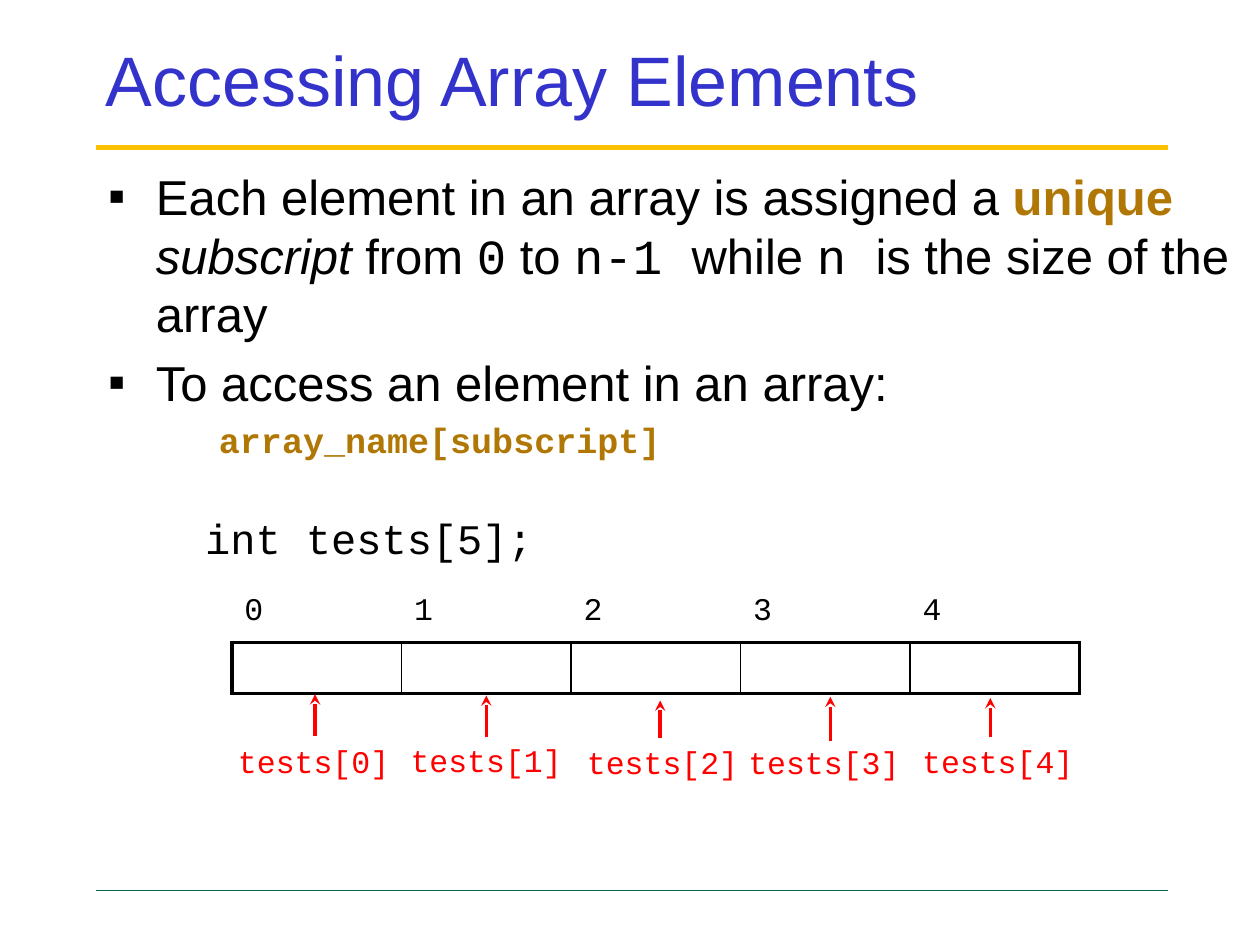
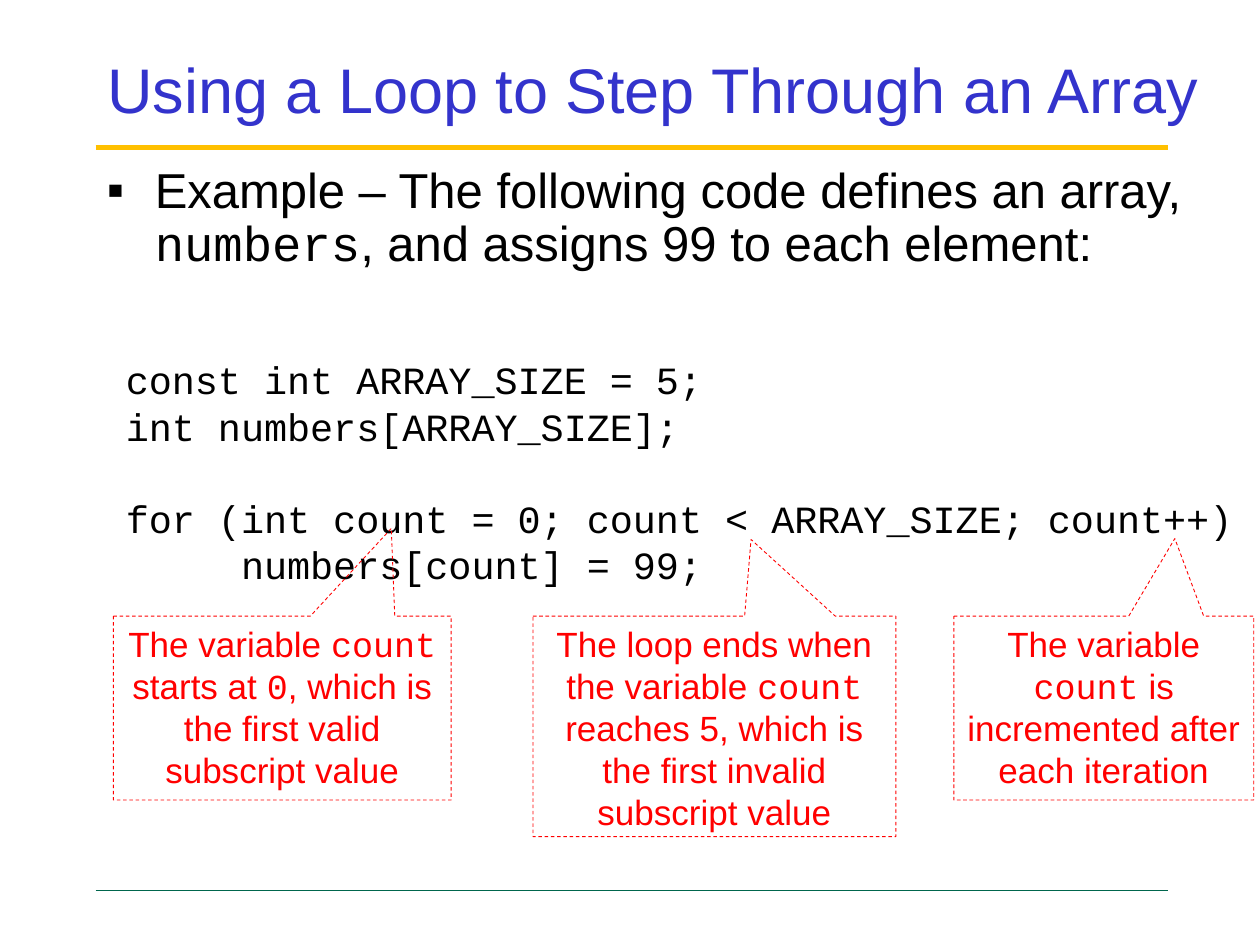
"""Builds two slides on reaching and filling the elements of an array."""
from lxml import etree
from pptx import Presentation, util as u
from pptx.dml.color import RGBColor
from pptx.enum import dml, shapes, text
from pptx.oxml.ns import qn

HUE = dict(title="3333CC", rule="FFC000", foot="00664D", ink="000000",
           gold="B07704", mark="FF0000")
BODY, CODE = "Arial", "Courier New"
WIDE, HIGH = 10, 7.5
LEFT, RIGHT = 0.76, 9.27
RULES = [(1.17, "rule", 3), (7.07, "foot", 0.75)]

FORM = {
    "": {},
    "code": dict(name=CODE),
    "key": dict(bold=True, hue="gold"),
    "ital": dict(italic=True),
    "form": dict(name=CODE, size=20, bold=True, hue="gold"),
}

ACCESS = dict(
    title=("Accessing Array Elements", 40, (0.74, 0.1, 8.25, 1.04)),
    at=(0.76, 1.27, 9.26, 5),
    items=[
        [("Each element in an array is assigned a ", ""), ("unique ", "key"),
         ("subscript ", "ital"), ("from ", ""), ("0", "code"), (" to ", ""),
         ("n-1 ", "code"), ("while ", ""), ("n ", "code"),
         ("is the size of the array", "")],
        [("To access an element in an array:", "")],
        [("array_name[subscript]", "form")],
    ],
    shape=[dict(dot=True), dict(dot=True, before=5.6), dict(left=0.88, before=4)],
)
LOOP = dict(
    title=("Using a Loop to Step Through an Array", 36, (0.75, 0.33, 8.92, 0.75)),
    at=(0.75, 1.27, 9.08, 1.59),
    items=[[("Example – The following code defines an array, ", ""),
            ("numbers", "code"), (", and assigns 99 to each element:", "")]],
    shape=[dict(dot=True, lead=0.9)],
)

COUNT = 5
GRID = dict(left=1.84, wide=6.73, row=0.4, index=4.67, cells=5.1)
DECLARE = "int tests[5];"
TAGS = [(1.79, 5.84), (3.16, 5.83), (4.56, 5.85), (5.84, 5.85), (7.22, 5.84)]
ARROWS = [(2.5, 5.84, 5.51), (3.86, 5.85, 5.52), (5.24, 5.86, 5.56),
          (6.59, 5.88, 5.53), (7.86, 5.85, 5.54)]

SOURCE = [
    "const int ARRAY_SIZE = 5;",
    "int numbers[ARRAY_SIZE];",
    "for (int count = 0; count < ARRAY_SIZE; count++)",
    "     numbers[count] = 99;",
]
GAPS = [{}, {}, dict(before=26.4), {}]
NOTE_TOP = 4.89
NOTES = [
    (0.9, 2.68, 1.46, (0.323, -0.977),
     [("The variable ", ""), ("count", "code"), (" starts at ", ""), ("0", "code"),
      (", which is the first valid subscript value", "")]),
    (4.23, 2.88, 1.75, (0.101, -0.848),
     [("The loop ends when the variable ", ""), ("count", "code"),
      (" reaches 5, which is the first invalid subscript value", "")]),
    (7.57, 2.38, 1.46, (0.237, -0.922),
     [("The variable ", ""), ("count", "code"),
      (" is incremented after each iteration", "")]),
]


def rgb(hue):
    return RGBColor.from_string(HUE[hue])


def inch(*sizes):
    return [u.Inches(size) for size in sizes]


def child(node, tag, **attrs):
    return etree.SubElement(node, qn(tag), attrs)


def dress(font, form):
    for key, value in form.items():
        if key == "hue":
            font.color.rgb = rgb(value)
        else:
            setattr(font, key, u.Pt(value) if key == "size" else value)


def indent(para, dot=False, left=0.0, before=0, lead=None):
    props = para._p.get_or_add_pPr()
    if dot:
        left = 0.38
        color = child(props, "a:buClr")
        child(color, "a:srgbClr", val=HUE["ink"])
        child(props, "a:buFont", typeface=BODY)
        child(props, "a:buChar", char="▪")
    if left:
        props.set("marL", str(u.Inches(left)))
        props.set("indent", str(-u.Inches(left) if dot else 0))
    if before:
        para.space_before = u.Pt(before)
    if lead:
        para.line_spacing = lead


def write(frame, paras, base, shape=None, align=None, wrap=True,
          anchor=text.MSO_ANCHOR.TOP):
    frame.word_wrap = wrap
    frame.auto_size = text.MSO_AUTO_SIZE.NONE
    frame.vertical_anchor = anchor
    for i, runs in enumerate(paras):
        para = frame.paragraphs[0] if i == 0 else frame.add_paragraph()
        para.alignment = align or text.PP_ALIGN.LEFT
        indent(para, **(shape[i] if shape else {}))
        for words, form in runs:
            run = para.add_run()
            run.text = words
            dress(run.font, {**base, **FORM[form]})


def look(name, size, hue="ink"):
    return dict(name=name, size=size, hue=hue)


def box(slide, at, paras, base, **more):
    write(slide.shapes.add_textbox(*inch(*at)).text_frame, paras, base, **more)


def line(slide, start, end, hue, width, tip=None):
    link = slide.shapes.add_connector(shapes.MSO_CONNECTOR.STRAIGHT,
                                      *inch(*start, *end))
    link.line.color.rgb = rgb(hue)
    link.line.width = u.Pt(width)
    if tip:
        child(link.line._get_or_add_ln(), "a:tailEnd", type=tip)
    child(link._element.spPr, "a:effectLst")


def page(deck, data):
    slide = deck.slides.add_slide(deck.slide_layouts[5])
    for y, hue, width in RULES:
        line(slide, (LEFT, y), (RIGHT, y), hue, width)
    words, size, at = data["title"]
    head = slide.shapes.title
    head.left, head.top, head.width, head.height = inch(*at)
    write(head.text_frame, [[(words, "")]], look(BODY, size, "title"),
          anchor=text.MSO_ANCHOR.MIDDLE)
    box(slide, data["at"], data["items"], look(BODY, 28), shape=data["shape"])
    return slide


def edge(cell, widths):
    props = cell._tc.get_or_add_tcPr()
    for i, (side, width) in enumerate(widths.items()):
        rim = etree.Element(qn("a:ln" + side), w=str(u.Pt(width)))
        fill = child(rim, "a:solidFill")
        child(fill, "a:srgbClr", val=HUE["ink"])
        props.insert(i, rim)


def strip(slide, top, words=None):
    frame = slide.shapes.add_table(
        1, COUNT, *inch(GRID["left"], top, GRID["wide"], GRID["row"]))
    table = frame.table
    table.first_row = table.horz_banding = False
    for i, cell in enumerate(table.rows[0].cells):
        cell.fill.background()
        if words:
            write(cell.text_frame, [[(words[i], "")]], look(CODE, 18))
        else:
            edge(cell, dict(L=1 if i else 2.25, R=1 if i < COUNT - 1 else 2.25,
                            T=2.25, B=2.25))


def access(deck):
    slide = page(deck, ACCESS)
    strip(slide, GRID["index"], [str(i) for i in range(COUNT)])
    strip(slide, GRID["cells"])
    box(slide, (1.53, 4.02, 2.83, 0.5), [[(DECLARE, "")]], look(CODE, 24), wrap=False)
    for i, (x, y) in enumerate(TAGS):
        box(slide, (x, y, 1.42, 0.4), [[(f"tests[{i}]", "")]], look(CODE, 18, "mark"))
    for x, low, top in ARROWS:
        line(slide, (x, low), (x, top), "mark", 2, "stealth")


def loop(deck):
    slide = page(deck, LOOP)
    box(slide, (0.9, 2.78, 9.33, 1.95), [[(row, "")] for row in SOURCE],
        look(CODE, 22), shape=GAPS)
    for x, wide, high, point, runs in NOTES:
        note = slide.shapes.add_shape(shapes.MSO_SHAPE.RECTANGULAR_CALLOUT,
                                      *inch(x, NOTE_TOP, wide, high))
        note.shadow.inherit = False
        note.fill.background()
        note.line.color.rgb = rgb("mark")
        note.line.width = u.Pt(0.5)
        note.line.dash_style = dml.MSO_LINE.DASH
        for i, value in enumerate(point):
            note.adjustments[i] = value
        write(note.text_frame, [runs], look(BODY, 20, "mark"),
              align=text.PP_ALIGN.CENTER)


def main():
    deck = Presentation()
    deck.slide_width, deck.slide_height = inch(WIDE, HIGH)
    access(deck)
    loop(deck)
    deck.save("out.pptx")


if __name__ == "__main__":
    main()
